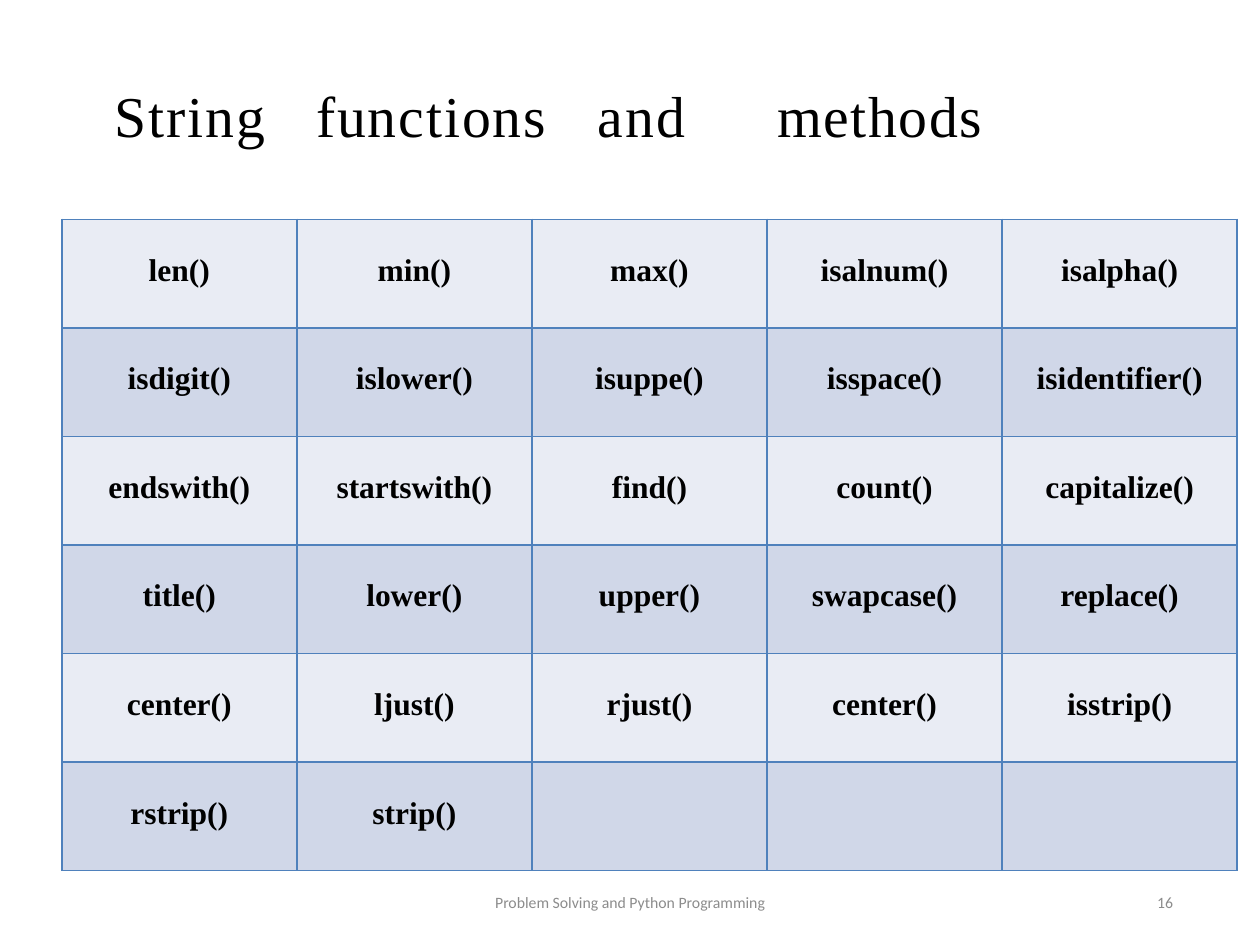
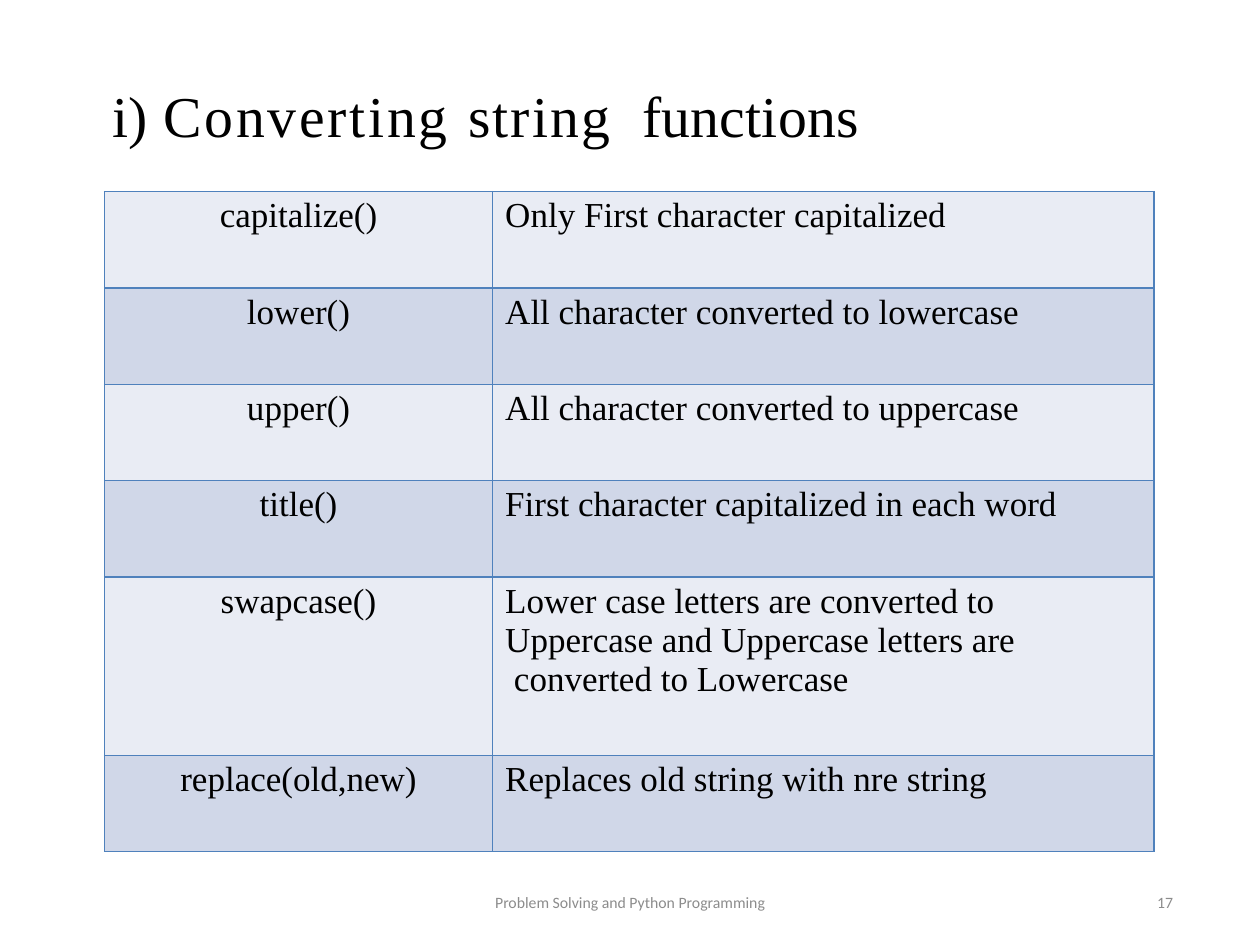
from dataclasses import dataclass

from lxml.etree import SubElement
from pptx import Presentation
from pptx.dml.color import RGBColor
from pptx.enum.text import MSO_ANCHOR, PP_ALIGN
from pptx.oxml.ns import qn
from pptx.util import Inches, Pt


@dataclass(frozen=True)
class Theme:
    """Colours, fonts and type sizes shared by the slides."""
    text: str = "000000"
    footer: str = "8C8C8C"
    border: str = "4F81BC"
    bands: tuple = ("E9ECF4", "D0D7E8")
    serif: str = "Times New Roman"
    sans: str = "Calibri"
    title_size: int = 33
    grid_size: int = 18
    list_size: int = 20
    footer_size: int = 9


theme = Theme()


def add_runs(paragraph, runs, font, size, color, bold=False):
    """Add (text, letter spacing in points) runs; a newline is a line break."""
    for text, spacing in runs:
        for index, line in enumerate(text.split("\n")):
            if index:
                paragraph.add_line_break()
            run = paragraph.add_run()
            run.text = line
            run.font.name = font
            run.font.size = Pt(size)
            run.font.bold = bold
            run.font.color.rgb = RGBColor.from_string(color)
            if spacing:
                run._r.get_or_add_rPr().set("spc", str(round(spacing * 100)))


def add_text_box(slide, left, top, width, height):
    """Add a wrapping, middle-anchored text box and return its paragraph."""
    shape = slide.shapes.add_textbox(
        Inches(left), Inches(top), Inches(width), Inches(height))
    frame = shape.text_frame
    frame.word_wrap = True
    frame.vertical_anchor = MSO_ANCHOR.MIDDLE
    frame.margin_left = frame.margin_right = frame.margin_bottom = 0
    frame.margin_top = 0
    return frame.paragraphs[0]


method_grid = [
    ["len()", "min()", "max()", "isalnum()", "isalpha()"],
    ["isdigit()", "islower()", "isuppe()", "isspace()", "isidentifier()"],
    ["endswith()", "startswith()", "find()", "count()", "capitalize()"],
    ["title()", "lower()", "upper()", "swapcase()", "replace()"],
    ["center()", "ljust()", "rjust()", "center()", "isstrip()"],
    ["rstrip()", "strip()", "", "", ""],
]
converting_functions = [
    ["capitalize()", "Only First character capitalized"],
    ["lower()", "All character converted to lowercase"],
    ["upper()", "All character converted to uppercase"],
    ["title()", "First character capitalized in each word"],
    ["swapcase()", "Lower case letters are converted to\n"
                   "Uppercase and Uppercase letters are\n converted to Lowercase"],
    ["replace(old,new)", "Replaces old string with nre string"],
]

slides = [
    dict(
        number="16", title_left=0.91, tab_stops=[1.6, 3.83, 5.26],
        title=[("String\tfunctions\t", 1.1), ("and\t", 1.5), ("methods", 0.9)],
        rows=method_grid, table=(0.49, 1.74, 9.33, 5.17),
        column_widths=[], row_heights=[],
        size=theme.grid_size, bold=True, cell_top=0.27,
        alignments=[PP_ALIGN.CENTER] * 5, indents=[0] * 5,
    ),
    dict(
        number="17", title_left=0.89, tab_stops=[4.21],
        title=[("i) ", 0.3), ("Converting ", 1.6), ("string\t", 1.2),
               ("functions", 0.1)],
        rows=converting_functions, table=(0.83, 1.52, 8.33, 5.24),
        column_widths=[3.08, 5.25],
        row_heights=[0.765, 0.765, 0.765, 0.765, 1.415, 0.765],
        size=theme.list_size, bold=False, cell_top=0.04,
        alignments=[PP_ALIGN.CENTER, PP_ALIGN.LEFT], indents=[0, 0.1],
    ),
]

presentation = Presentation()
presentation.slide_width = Inches(10)
presentation.slide_height = Inches(7.5)

for content in slides:
    slide = presentation.slides.add_slide(presentation.slide_layouts[6])

    # Title, with tab stops for its wide word gaps
    paragraph = add_text_box(slide, content["title_left"], 0.62, 8.2, 0.57)
    paragraph.space_before = Pt(1.1)
    tab_list = SubElement(paragraph._p.get_or_add_pPr(), qn("a:tabLst"))
    for position in content["tab_stops"]:
        SubElement(tab_list, qn("a:tab"), pos=str(Inches(position)), algn="l")
    add_runs(paragraph, content["title"], theme.serif, theme.title_size, theme.text)

    # Footer and slide number
    for text, left, width, alignment in [
        ("Problem Solving and Python Programming", 3.31, 3.38, PP_ALIGN.CENTER),
        (content["number"], 7.06, 2.25, PP_ALIGN.RIGHT),
    ]:
        paragraph = add_text_box(slide, left, 6.95, width, 0.4)
        paragraph.alignment = alignment
        paragraph.line_spacing = Pt(12.4)
        add_runs(paragraph, [(text, 0)], theme.sans, theme.footer_size, theme.footer)

    # Banded table
    rows = content["rows"]
    table = slide.shapes.add_table(
        len(rows), len(rows[0]), *map(Inches, content["table"])).table
    for column, width in zip(table.columns, content["column_widths"]):
        column.width = Inches(width)
    for row, height in zip(table.rows, content["row_heights"]):
        row.height = Inches(height)

    for row_index, row in enumerate(rows):
        for column_index, text in enumerate(row):
            cell = table.cell(row_index, column_index)
            cell.margin_left = Inches(content["indents"][column_index])
            cell.margin_right = cell.margin_bottom = 0
            cell.margin_top = Inches(content["cell_top"])
            properties = cell._tc.get_or_add_tcPr()
            for side in ("lnL", "lnR", "lnT", "lnB"):
                line = SubElement(properties, qn(f"a:{side}"), w=str(Pt(1)))
                fill = SubElement(line, qn("a:solidFill"))
                SubElement(fill, qn("a:srgbClr"), val=theme.border)
            cell.fill.solid()
            cell.fill.fore_color.rgb = RGBColor.from_string(theme.bands[row_index % 2])
            if text:
                paragraph = cell.text_frame.paragraphs[0]
                paragraph.alignment = content["alignments"][column_index]
                add_runs(paragraph, [(text, 0)], theme.serif, content["size"],
                         theme.text, content["bold"])

presentation.save("out.pptx")
